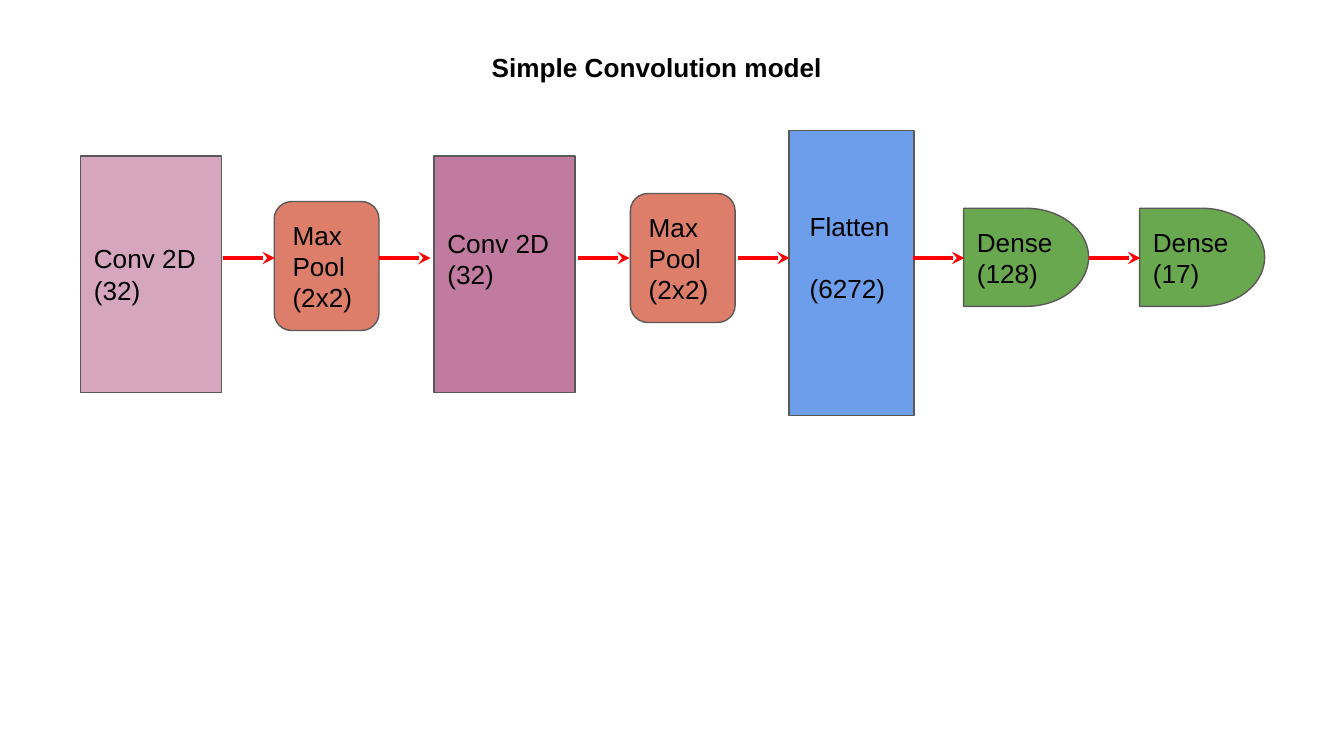
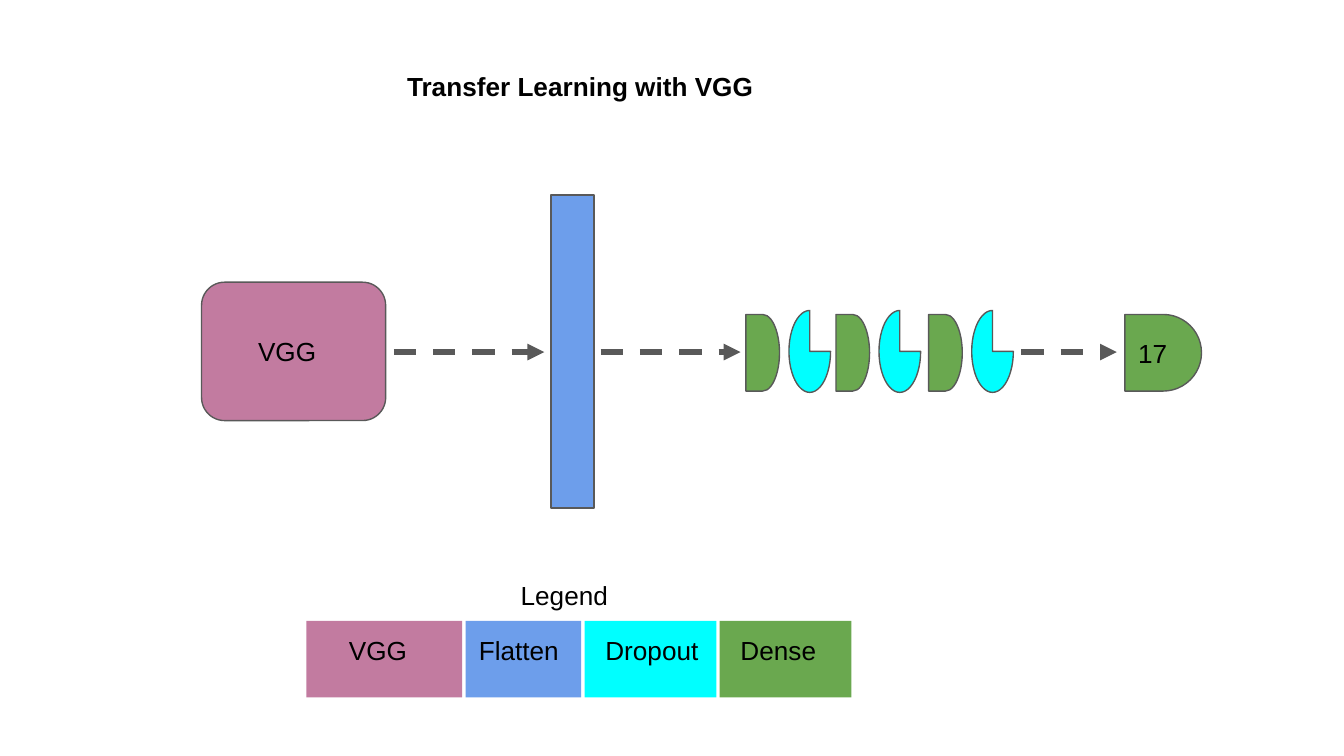
from dataclasses import dataclass
from typing import Optional

from lxml.etree import SubElement
from pptx import Presentation
from pptx.dml.color import RGBColor
from pptx.enum.dml import MSO_LINE_DASH_STYLE as Dash
from pptx.enum.shapes import MSO_CONNECTOR, MSO_SHAPE as Form
from pptx.enum.text import MSO_ANCHOR as Anchor
from pptx.oxml.ns import qn
from pptx.util import Emu, Inches, Pt

# Shared style
BLACK = RGBColor(0x00, 0x00, 0x00)
OUTLINE = RGBColor(0x59, 0x59, 0x59)
RED = RGBColor(0xFF, 0x00, 0x00)
PINK = RGBColor(0xD5, 0xA6, 0xBD)
MAUVE = RGBColor(0xC2, 0x7B, 0xA0)
SALMON = RGBColor(0xDD, 0x7E, 0x6B)
BLUE = RGBColor(0x6D, 0x9E, 0xEB)
GREEN = RGBColor(0x6A, 0xA8, 0x4F)
CYAN = RGBColor(0x00, 0xFF, 0xFF)
FONT = "Arial"
TEXT_SIZE = 14
LINE_STEP = 16.8  # points from one text line to the next
INSET = 1.0
RAISED = 2.34  # bottom inset that lifts centred text by half a line

# Grid: the slide is 100 columns wide, and its cells are square
WIDTH = Inches(10)
HEIGHT = WIDTH * 9 // 16
COLUMNS = 100


def cells(count: float) -> Emu:
    return Emu(round(count * WIDTH / COLUMNS))


@dataclass(frozen=True)
class Block:
    """A layer of the network, placed in grid cells."""
    left: float
    top: float
    width: float
    height: float
    form: Form
    fill: RGBColor
    text: str = ""
    indent: float = 0
    lift: float = 0
    outline: bool = True
    anchor: Anchor = Anchor.MIDDLE
    gap: float = 0


@dataclass(frozen=True)
class ArrowStyle:
    color: RGBColor
    weight: float
    head: str
    dash: Optional[Dash] = None


FLOW = ArrowStyle(RED, 2.25, "stealth")
TRANSFER = ArrowStyle(OUTLINE, 3, "triangle", Dash.DASH)


def write(frame, text: str, *, bold: bool = False, indent: float = 0,
          lift: float = 0, anchor: Anchor = Anchor.TOP, gap: float = 0) -> None:
    frame.word_wrap = True
    frame.vertical_anchor = anchor
    frame.margin_left = cells(INSET + indent)
    frame.margin_top = frame.margin_right = cells(INSET)
    frame.margin_bottom = cells(INSET + lift)
    lines = text.split("\n")
    for number, line in enumerate(lines):
        paragraph = frame.paragraphs[0] if number == 0 else frame.add_paragraph()
        paragraph.alignment = 1
        if gap and number < len(lines) - 1:
            paragraph.space_after = Pt(gap)
        run = paragraph.add_run()
        run.text = line
        run.font.name = FONT
        run.font.size = Pt(TEXT_SIZE)
        run.font.bold = bold
        run.font.color.rgb = BLACK


def add_label(slide, text: str, left: float, top: float, width: float,
              height: float, **style) -> None:
    box = slide.shapes.add_textbox(*map(cells, (left, top, width, height)))
    write(box.text_frame, text, **style)


def add_block(slide, block: Block) -> None:
    place = map(cells, (block.left, block.top, block.width, block.height))
    shape = slide.shapes.add_shape(block.form, *place)
    shape.shadow.inherit = False
    shape.fill.solid()
    shape.fill.fore_color.rgb = block.fill
    if block.outline:
        shape.line.color.rgb = OUTLINE
        shape.line.width = Pt(0.75)
    else:
        shape.line.fill.background()
    if block.text:
        write(shape.text_frame, block.text, indent=block.indent,
              lift=block.lift, anchor=block.anchor, gap=block.gap)


def add_arrow(slide, start: float, end: float, row: float,
              style: ArrowStyle) -> None:
    arrow = slide.shapes.add_connector(
        MSO_CONNECTOR.STRAIGHT, *map(cells, (start, row, end, row)))
    arrow.line.color.rgb = style.color
    arrow.line.width = Pt(style.weight)
    if style.dash is not None:
        arrow.line.dash_style = style.dash
    SubElement(arrow.line._get_or_add_ln(), qn("a:tailEnd"), type=style.head)
    SubElement(arrow._element.spPr, qn("a:effectLst"))


def build_convolution(slide) -> None:
    # Layers
    conv = (11.6, 10.5, 17.6, Form.RECTANGLE)
    dense = (15.5, 9.3, 7.3, Form.FLOWCHART_DELAY, GREEN)
    pool = (7.8, 9.6, Form.ROUNDED_RECTANGLE, SALMON, "Max Pool (2x2)")
    layers = (
        Block(6, *conv, PINK, "Conv 2D (32)"),
        Block(20.4, 15, *pool),
        Block(32.3, *conv, MAUVE, "Conv 2D (32)", lift=RAISED),
        Block(46.9, 14.4, *pool),
        Block(58.7, 9.7, 9.3, 21.2, Form.RECTANGLE, BLUE, "Flatten\n(6272)",
              indent=0.54, lift=RAISED, gap=LINE_STEP),
        Block(71.7, *dense, "Dense (128)"),
        Block(84.8, *dense, "Dense (17)"),
    )
    for layer in layers:
        add_block(slide, layer)

    # Flow from layer to layer
    for start in (16.6, 28.2, 43, 54.9, 67.9, 81):
        add_arrow(slide, start, start + 3.85, 19.2, FLOW)

    add_label(slide, "Simple Convolution model", 35.6, 2.8, 37.1, 5.3, bold=True)


def build_transfer(slide) -> None:
    add_label(slide, "Transfer Learning with VGG", 29.3, 4.2, 38.8, 6.2, bold=True)

    # Network
    add_block(slide, Block(15, 21, 13.7, 10.3, Form.ROUNDED_RECTANGLE, MAUVE,
                           "VGG", indent=2.7))
    add_block(slide, Block(41, 14.5, 3.2, 23.3, Form.RECTANGLE, BLUE))
    for left in (55.5, 62.2, 69.1):
        add_block(slide, Block(left, 23.4, 2.5, 5.7, Form.FLOWCHART_DELAY, GREEN))
        add_block(slide, Block(left + 3.2, 23.1, 3.1, 6.1, Form.PIE, CYAN))
    add_block(slide, Block(83.7, 23.4, 5.7, 5.7, Form.FLOWCHART_DELAY, GREEN, "17"))
    for start, end in ((29.3, 40.5), (44.7, 55.1), (76, 83.1)):
        add_arrow(slide, start, end, 26.2, TRANSFER)

    # Legend
    add_label(slide, "Legend", 37.2, 42.1, 10.7, 4.1, indent=0.54)
    left = 22.8
    for text, fill, width, indent in (
        ("VGG", MAUVE, 11.6, 2.16),
        ("Flatten", BLUE, 8.6, 0),
        ("Dropout", CYAN, 9.8, 0.54),
        ("Dense", GREEN, 9.8, 0.54),
    ):
        add_block(slide, Block(left, 46.2, width, 5.7, Form.RECTANGLE, fill, text,
                               indent=indent, outline=False, anchor=Anchor.TOP))
        left += width + 0.25


def main() -> None:
    deck = Presentation()
    deck.slide_width, deck.slide_height = WIDTH, HEIGHT
    blank = deck.slide_layouts[6]
    for build in (build_convolution, build_transfer):
        build(deck.slides.add_slide(blank))
    deck.save("out.pptx")


if __name__ == "__main__":
    main()
